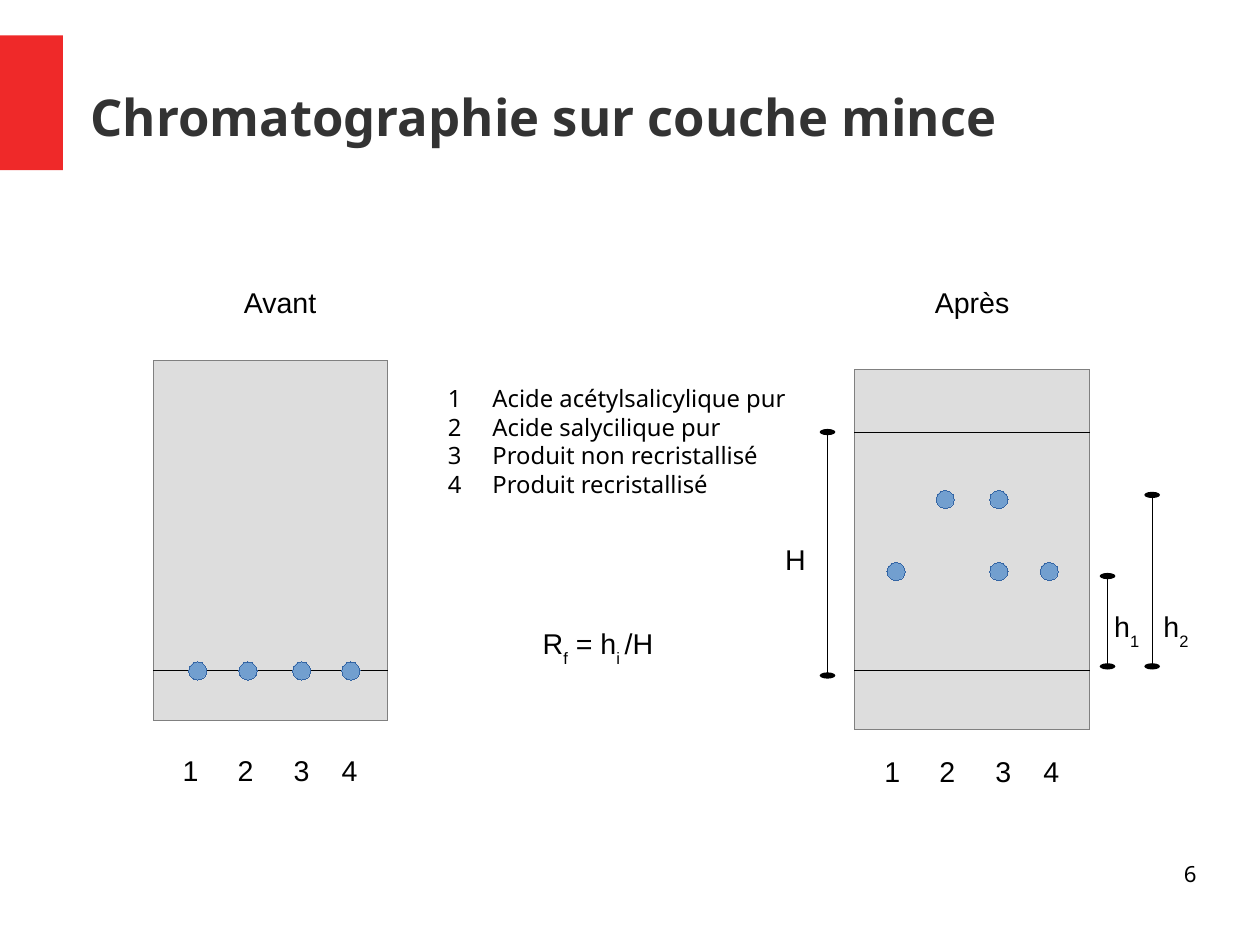
import pptx
import pptx.dml.color
import pptx.enum.shapes
import pptx.enum.text
import pptx.oxml.ns
import pptx.util
from lxml import etree

Inches = pptx.util.Inches
Pt = pptx.util.Pt
qn = pptx.oxml.ns.qn
ALIGN = pptx.enum.text.PP_ALIGN
ANCHOR = pptx.enum.text.MSO_ANCHOR
SHAPE = pptx.enum.shapes.MSO_SHAPE

COLORS = {
    "accent": "EF2929",
    "title": "333333",
    "text": "000000",
    "plate": "DDDDDD",
    "plate_edge": "808080",
    "spot": "729FCF",
    "spot_edge": "3465A4",
}
CM_PER_INCH = 2.54
PLATE_WIDTH, PLATE_HEIGHT = 2.05, 3.15
SPOT_SIZE = 0.16
BASELINE, FRONT = 5.87, 3.78
BEFORE_LEFT, AFTER_LEFT = 1.34, 7.48
LOW_SPOT, HIGH_SPOT = 4.92, 4.29
LANE_TABS = (0.48, 0.97, 1.39)


def color(name):
    return pptx.dml.color.RGBColor.from_string(COLORS[name])


def add_text(slide, text, left, top, width, height, size=18, font="Arial",
             fill="text", bold=False, align=ALIGN.LEFT, anchor=ANCHOR.TOP,
             margins=(0.1, 0.05), tabs=(), wrap=True):
    box = slide.shapes.add_textbox(Inches(left), Inches(top), Inches(width), Inches(height))
    frame = box.text_frame
    frame.word_wrap = wrap
    frame.vertical_anchor = anchor
    frame.margin_left = frame.margin_right = Inches(margins[0])
    frame.margin_top = frame.margin_bottom = Inches(margins[1])
    for number, line in enumerate(text.split("\n")):
        paragraph = frame.add_paragraph() if number else frame.paragraphs[0]
        paragraph.alignment = align
        if tabs:
            tab_list = etree.SubElement(paragraph._p.get_or_add_pPr(), qn("a:tabLst"))
            for position in tabs:
                etree.SubElement(tab_list, qn("a:tab"), pos=str(Inches(position)), algn="l")
        for index, part in enumerate(line.split("_")):
            if not part:
                continue
            run = paragraph.add_run()
            run.text = part
            run.font.size = Pt(size)
            run.font.name = font
            run.font.bold = bold
            run.font.color.rgb = color(fill)
            if index % 2:
                run.font._element.set("baseline", "-33000")


def set_hairline(line, edge):
    line.color.rgb = color(edge)
    outline = line._get_or_add_ln()
    outline.set("w", "0")
    return outline


def add_filled(slide, kind, left, top, width, height, fill, edge=None):
    shape = slide.shapes.add_shape(kind, Inches(left), Inches(top), Inches(width), Inches(height))
    shape.shadow.inherit = False
    shape.fill.solid()
    shape.fill.fore_color.rgb = color(fill)
    if edge:
        set_hairline(shape.line, edge)
    else:
        shape.line.fill.background()


def add_line(slide, start, end, ovals=False):
    connector = slide.shapes.add_connector(
        pptx.enum.shapes.MSO_CONNECTOR.STRAIGHT,
        *(Inches(value) for value in start + end))
    outline = set_hairline(connector.line, "text")
    if ovals:
        for tag in ("a:headEnd", "a:tailEnd"):
            etree.SubElement(outline, qn(tag), type="oval", w="lg", len="sm")
    etree.SubElement(connector._element.spPr, qn("a:effectLst"))


def add_plate(slide, left, top, line_heights, spots, labels_top):
    add_filled(slide, SHAPE.RECTANGLE, left, top, PLATE_WIDTH, PLATE_HEIGHT,
               "plate", "plate_edge")
    for height in line_heights:
        add_line(slide, (left, height), (left + PLATE_WIDTH, height))
    for spot_left, spot_top in spots:
        add_filled(slide, SHAPE.OVAL, spot_left, spot_top, SPOT_SIZE, SPOT_SIZE,
                   "spot", "spot_edge")
    add_text(slide, "1\t2\t3\t4", left + 0.16, labels_top, 1.8, 0.38, tabs=LANE_TABS)


def add_measure(slide, x, top, bottom):
    add_line(slide, (x, top), (x, bottom), ovals=True)


def main():
    presentation = pptx.Presentation()
    presentation.slide_width = Inches(28 / CM_PER_INCH)
    presentation.slide_height = Inches(21 / CM_PER_INCH)
    slide = presentation.slides.add_slide(presentation.slide_layouts[6])

    add_filled(slide, SHAPE.RECTANGLE, 0, 0.31, 0.55, 1.18, "accent")
    add_text(slide, "Chromatographie sur couche mince", 0.79, 0.33, 9.68, 1.38,
             size=32, font="Noto Sans", fill="title", bold=True,
             anchor=ANCHOR.MIDDLE, margins=(0, 0))

    add_text(slide, "Avant ", 1.42, 2.44, 2.13, 0.38, align=ALIGN.CENTER)
    add_plate(slide, BEFORE_LEFT, 3.15, [BASELINE],
              [(left, 5.79) for left in (1.65, 2.09, 2.56, 2.99)], 6.54)

    add_text(slide, "1\tAcide acétylsalicylique pur\n2\tAcide salycilique pur\n"
                    "3\tProduit non recristallisé\n4\tProduit recristallisé",
             3.82, 3.31, 4.02, 1.8, size=15, font="Noto Sans", tabs=(0.39,))
    add_text(slide, "R_f_ = h_i _/H", 4.65, 5.43, 1.26, 0.44)

    add_text(slide, "Après", 7.72, 2.44, 1.57, 0.38, align=ALIGN.CENTER)
    add_plate(slide, AFTER_LEFT, 3.23, [FRONT, BASELINE],
              [(7.76, LOW_SPOT), (8.19, HIGH_SPOT), (8.66, LOW_SPOT),
               (8.66, HIGH_SPOT), (9.1, LOW_SPOT)], 6.55)

    add_measure(slide, 7.24, FRONT, 5.91)
    add_measure(slide, 9.69, 5.04, 5.83)
    add_measure(slide, 10.08, 4.33, 5.83)
    add_text(slide, "H", 6.77, 4.69, 0.31, 0.38)
    add_text(slide, "h_1", 9.65, 5.28, 0.79, 0.44)
    add_text(slide, "h_2", 10.08, 5.28, 0.42, 0.44, wrap=False)

    add_text(slide, "6", 7.9, 7.53, 2.57, 0.57, size=14, font="Noto Sans",
             align=ALIGN.RIGHT, margins=(0, 0))
    presentation.save("out.pptx")


if __name__ == "__main__":
    main()
